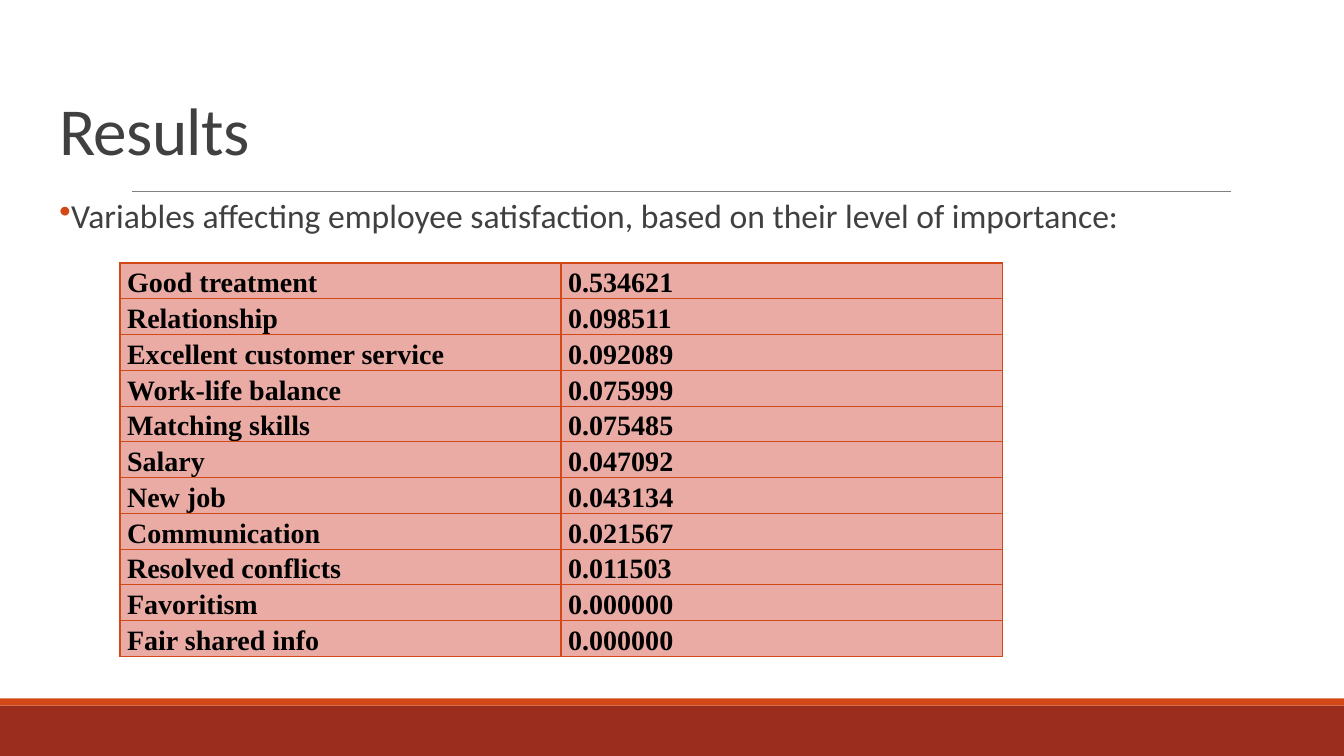
from dataclasses import dataclass

from lxml.etree import SubElement
from pptx import Presentation
from pptx.dml.color import RGBColor as RGB
from pptx.enum.shapes import MSO_CONNECTOR as CONN, MSO_SHAPE as SHAPE
from pptx.enum.text import MSO_ANCHOR as ANCHOR
from pptx.oxml.ns import qn
from pptx.util import Inches, Pt


@dataclass(frozen=True)
class Theme:
    dark_red: str = "9B2D1F"
    orange: str = "D34817"
    pink: str = "EAABA5"
    grey: str = "808080"
    text: str = "404040"
    black: str = "000000"
    body_font: str = "Calibri"
    table_font: str = "Times New Roman"
    title_size: int = 48
    body_size: int = 24
    table_size: int = 20


T = Theme()
W, H = 13.33, 7.5
MARGIN = 0.49
ROW_H = 0.35

VARIABLES = [
    ("Good treatment", "0.534621"),
    ("Relationship", "0.098511"),
    ("Excellent customer service", "0.092089"),
    ("Work-life balance", "0.075999"),
    ("Matching skills", "0.075485"),
    ("Salary", "0.047092"),
    ("New job", "0.043134"),
    ("Communication", "0.021567"),
    ("Resolved conflicts", "0.011503"),
    ("Favoritism", "0.000000"),
    ("Fair shared info", "0.000000"),
]


def box(*lengths):
    return [Inches(v) for v in lengths]


def set_all(obj, **values):
    for name, value in values.items():
        setattr(obj, name, value)


def write(p, text, font, size, color, bold=False, **spacing):
    set_all(p, **spacing)
    r = p.add_run()
    r.text = text
    set_all(r.font, name=font, size=Pt(size), bold=bold)
    r.font.color.rgb = RGB.from_string(color)
    return r


def add_band(s, top, height, color):
    sp = s.shapes.add_shape(SHAPE.RECTANGLE, *box(0, top, W, height))
    sp.shadow.inherit = False
    sp.fill.solid()
    sp.fill.fore_color.rgb = RGB.from_string(color)
    sp.line.fill.background()


def add_rule(s, left, right, y):
    line = s.shapes.add_connector(CONN.STRAIGHT, *box(left, y, right, y))
    line.line.color.rgb = RGB.from_string(T.grey)
    line.line.width = Pt(0.5)
    SubElement(line._element.spPr, qn("a:effectLst"))


def add_text(s, area, text, size, anchor=ANCHOR.TOP, **spacing):
    tf = s.shapes.add_textbox(*box(*area)).text_frame
    set_all(tf, word_wrap=True, vertical_anchor=anchor)
    p = tf.paragraphs[0]
    return p, write(p, text, T.body_font, size, T.text, **spacing)


def add_bullet(p, indent):
    pPr = p._p.get_or_add_pPr()
    pPr.set("marL", str(Inches(indent)))
    pPr.set("indent", str(-Inches(indent)))
    color = SubElement(pPr, qn("a:buClr"))
    SubElement(color, qn("a:srgbClr"), val=T.orange)
    SubElement(pPr, qn("a:buChar"), char="•")


def style_cell(cell):
    set_all(cell, margin_left=Inches(0.07), margin_right=Inches(0.07),
            margin_top=0, margin_bottom=0)
    # Borders come before the fill in the cell properties
    tcPr = cell._tc.get_or_add_tcPr()
    for side in ("lnL", "lnR", "lnT", "lnB"):
        ln = SubElement(tcPr, qn(f"a:{side}"), w=str(Pt(1)))
        fill = SubElement(ln, qn("a:solidFill"))
        SubElement(fill, qn("a:srgbClr"), val=T.orange)
    cell.fill.solid()
    cell.fill.fore_color.rgb = RGB.from_string(T.pink)


def add_grid(s, rows, left, top, width):
    area = box(left, top, width, ROW_H * len(rows))
    table = s.shapes.add_table(len(rows), len(rows[0]), *area).table
    set_all(table, first_row=False, horz_banding=False)
    for i, row in enumerate(rows):
        table.rows[i].height = Inches(ROW_H)
        for j, text in enumerate(row):
            cell = table.cell(i, j)
            style_cell(cell)
            write(cell.text_frame.paragraphs[0], text, T.table_font,
                  T.table_size, T.black, bold=True, line_spacing=1.15)


def main():
    prs = Presentation()
    set_all(prs, slide_width=Inches(W), slide_height=Inches(H))
    s = prs.slides.add_slide(prs.slide_layouts[6])

    # Footer bands and title rule
    add_band(s, H - 0.5, 0.5, T.dark_red)
    add_band(s, H - 0.57, 0.07, T.orange)
    add_rule(s, 1.31, 12.21, 1.9)

    # Table of variables by importance
    add_grid(s, VARIABLES, 1.19, 2.61, 8.75)

    # Title and lead-in
    _, r = add_text(s, (MARGIN, 0.14, 11, 1.59), "Results", T.title_size,
                    ANCHOR.BOTTOM, line_spacing=0.85)
    r.font._element.set("spc", "-50")
    p, _ = add_text(
        s, (MARGIN, 1.93, 11.96, 0.46),
        "Variables affecting employee satisfaction, "
        "based on their level of importance:",
        T.body_size, line_spacing=0.9, space_before=Pt(12), space_after=Pt(2))
    add_bullet(p, 0.1)

    prs.save("out.pptx")


main()
